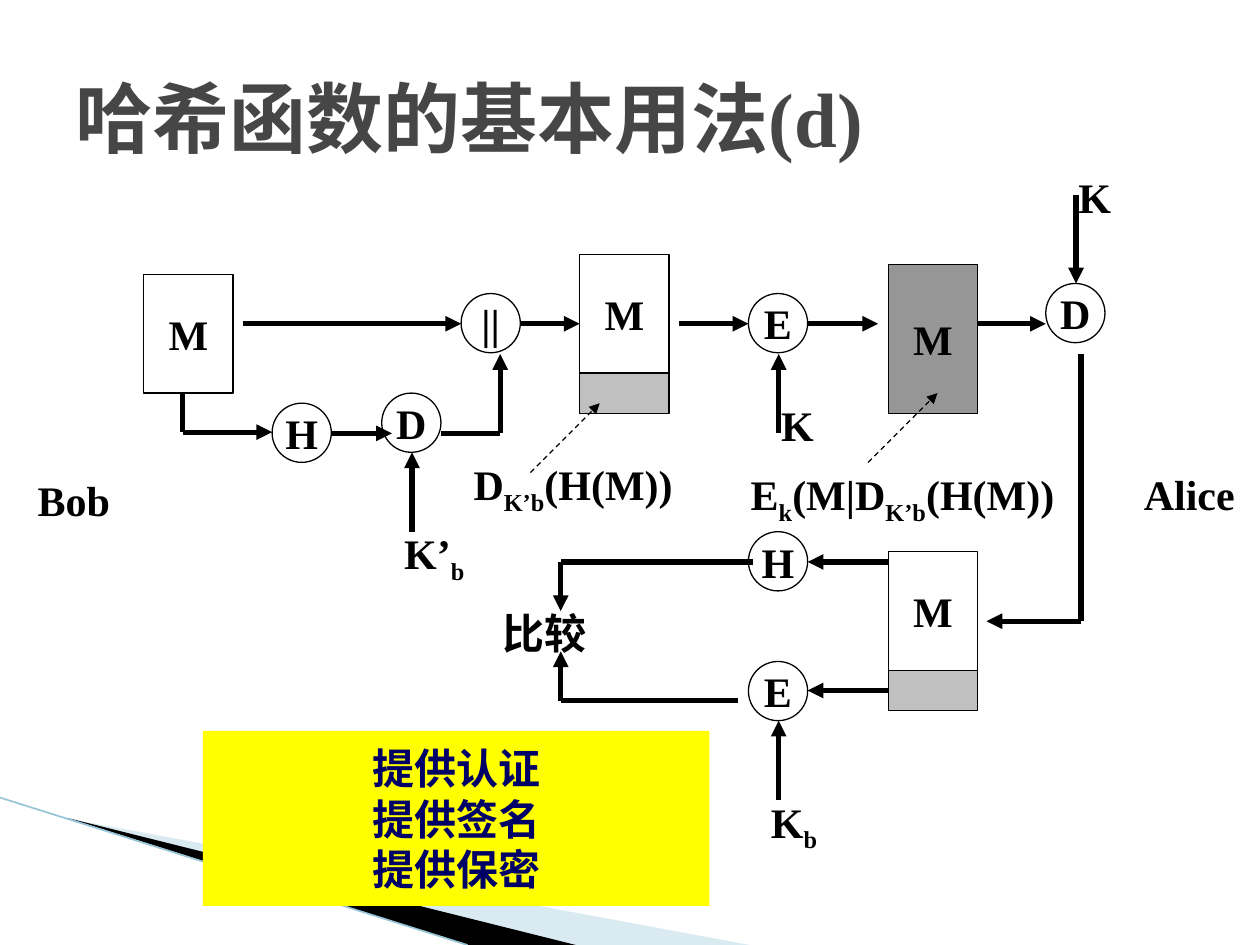
from itertools import pairwise

from pptx import Presentation
from pptx.dml.color import RGBColor
from pptx.enum.dml import MSO_LINE
from pptx.enum.shapes import MSO_CONNECTOR, MSO_SHAPE
from pptx.enum.text import MSO_ANCHOR, PP_ALIGN
from pptx.oxml.ns import qn
from pptx.util import Inches, Pt
from lxml.etree import SubElement

BLACK = RGBColor(0x00, 0x00, 0x00)
WHITE = RGBColor(0xFF, 0xFF, 0xFF)
SILVER = RGBColor(0xC0, 0xC0, 0xC0)
GRAY = RGBColor(0x96, 0x96, 0x96)
YELLOW = RGBColor(0xFF, 0xFF, 0x00)
NAVY = RGBColor(0x00, 0x00, 0x66)
TITLE_COLOR = RGBColor(0x46, 0x46, 0x46)
PALE_BLUE = RGBColor(0xA0, 0xCB, 0xDC)
EDGE_BLUE = RGBColor(0x97, 0xC5, 0xD8)
FONT = "Times New Roman"
BLOCK_WIDTH = 0.71
MESSAGE_HEIGHT = 0.94
TAG_HEIGHT = 0.32
NODE_SIZE = 0.47


def style_font(para, size=24, color=BLACK):
    font = para.font
    font.name, font.size, font.bold = FONT, Pt(size), True
    font.color.rgb = color


def add_wedge(slide, points, color, opacity=None):
    builder = slide.shapes.build_freeform(
        Inches(points[0][0]), Inches(points[0][1]), scale=1.0)
    builder.add_line_segments(
        [(Inches(x), Inches(y)) for x, y in points[1:]], close=True)
    wedge = builder.convert_to_shape()
    wedge.shadow.inherit = False
    wedge.fill.solid()
    wedge.fill.fore_color.rgb = color
    wedge.line.fill.background()
    if opacity:
        color_node = wedge.fill._xPr.find(qn("a:solidFill"))[0]
        SubElement(color_node, qn("a:alpha"), val=str(opacity * 1000))


def add_shape(slide, kind, left, top, width, height, fill, lines=(),
              outline=BLACK, color=BLACK):
    shape = slide.shapes.add_shape(
        kind, Inches(left), Inches(top), Inches(width), Inches(height))
    shape.shadow.inherit = False
    shape.fill.solid()
    shape.fill.fore_color.rgb = fill
    if outline is None:
        shape.line.fill.background()
    else:
        shape.line.color.rgb = outline
        shape.line.width = Pt(0.75)
    frame = shape.text_frame
    frame.word_wrap = False
    frame.vertical_anchor = MSO_ANCHOR.MIDDLE
    for index, text in enumerate(lines):
        para = frame.add_paragraph() if index else frame.paragraphs[0]
        para.text = text
        para.alignment = PP_ALIGN.CENTER
        style_font(para, color=color)
    return shape


def add_node(slide, left, top, text):
    add_shape(slide, MSO_SHAPE.OVAL, left, top, NODE_SIZE, NODE_SIZE, WHITE, [text])


def add_message(slide, left, top, height=MESSAGE_HEIGHT, fill=WHITE):
    add_shape(slide, MSO_SHAPE.RECTANGLE, left, top, BLOCK_WIDTH, height, fill, ["M"])


def add_tagged_message(slide, left, top):
    add_message(slide, left, top)
    return add_shape(slide, MSO_SHAPE.RECTANGLE, left, top + MESSAGE_HEIGHT,
                     BLOCK_WIDTH, TAG_HEIGHT, SILVER)


def add_label(slide, left, top, width, *parts, height=0.5, size=24, color=BLACK):
    box = slide.shapes.add_textbox(
        Inches(left), Inches(top), Inches(width), Inches(height))
    frame = box.text_frame
    frame.word_wrap = True
    frame.vertical_anchor = MSO_ANCHOR.MIDDLE if size > 24 else MSO_ANCHOR.TOP
    para = frame.paragraphs[0]
    style_font(para, size, color)
    for index, text in enumerate(parts):
        span = para.add_run()
        span.text = text
        if index % 2:
            span._r.get_or_add_rPr().set("baseline", "-25000")


def add_line(slide, start, end, width=3, color=BLACK, arrow=False, dashed=False):
    line = slide.shapes.add_connector(
        MSO_CONNECTOR.STRAIGHT, *(Inches(value) for value in (*start, *end)))
    line.line.color.rgb = color
    line.line.width = Pt(width)
    if dashed:
        line.line.dash_style = MSO_LINE.DASH
    if arrow:
        SubElement(line.line._get_or_add_ln(), qn("a:tailEnd"), type="triangle")
    SubElement(line._element.spPr, qn("a:effectLst"))
    return line


def add_route(slide, *points):
    segments = list(pairwise(points))
    for index, (start, end) in enumerate(segments, 1):
        add_line(slide, start, end, arrow=index == len(segments))


def add_decoration(slide):
    add_wedge(slide, [(0.55, 6.5), (5.95, 7.5), (4.56, 7.5)], PALE_BLUE, 40)
    add_wedge(slide, [(0.53, 6.49), (4.57, 7.5), (3.72, 7.5)], BLACK)
    add_line(slide, (0, 6.33), (3.71, 7.5), 0.95, EDGE_BLUE)


def add_diagram(slide):
    add_message(slide, 1.14, 2.18)
    add_message(slide, 7.05, 2.1, 1.18, GRAY)
    add_tagged_message(slide, 4.6, 2.02)
    received_tag = add_tagged_message(slide, 7.05, 4.38)

    nodes = [(3.66, 2.33, "||"), (5.94, 2.33, "E"), (8.3, 2.25, "D"),
             (2.16, 3.2, "H"), (3.03, 3.12, "D"),
             (5.94, 4.22, "H"), (5.94, 5.25, "E")]
    for node in nodes:
        add_node(slide, *node)

    for start, end in [(1.93, 3.66), (4.13, 4.6), (5.39, 5.94),
                       (6.41, 6.97), (7.75, 8.3)]:
        add_route(slide, (start, 2.57), (end, 2.57))
    for x, start, end in [(6.18, 3.44, 2.81), (8.54, 1.55, 2.25),
                          (3.27, 4.22, 3.59), (6.18, 6.35, 5.72)]:
        add_route(slide, (x, start), (x, end))
    add_route(slide, (1.45, 3.12), (1.45, 3.43), (2.16, 3.43))
    add_route(slide, (2.63, 3.44), (3.11, 3.44))
    add_route(slide, (3.5, 3.44), (3.97, 3.44), (3.97, 2.81))
    add_route(slide, (8.58, 2.81), (8.58, 4.93), (7.83, 4.93))
    add_route(slide, (7.05, 4.46), (6.41, 4.46))
    add_route(slide, (5.98, 4.46), (4.45, 4.46), (4.45, 4.85))
    add_route(slide, (5.86, 5.56), (4.45, 5.56), (4.45, 5.17))
    tag_line = add_line(slide, (7.05, 5.48), (6.41, 5.48), arrow=True)
    tag_line.begin_connect(received_tag, 1)
    for start, end in [((4.21, 3.75), (4.76, 3.2)), ((6.89, 3.67), (7.44, 3.12))]:
        add_line(slide, start, end, 0.75, arrow=True, dashed=True)


def add_labels(slide):
    add_label(slide, 0.5, 0.3, 9, "哈希函数的基本用法(d)",
              height=1.25, size=44, color=TITLE_COLOR)
    labels = [
        (0.2, 3.72, 1.42, "Bob"),
        (8.98, 3.67, 1.02, "Alice"),
        (8.46, 1.31, 0.71, "K"),
        (6.1, 3.12, 0.71, "K"),
        (3.11, 4.14, 0.71, "K’", "b"),
        (6.02, 6.27, 0.71, "K", "b"),
        (3.66, 3.59, 2.12, "D", "K’b", "(H(M))"),
        (5.86, 3.67, 2.76, "E", "k", "(M|D", "K’b", "(H(M))"),
        (3.89, 4.77, 0.94, "比较"),
    ]
    for label in labels:
        add_label(slide, *label)


def main():
    deck = Presentation()
    deck.slide_width, deck.slide_height = Inches(10), Inches(7.5)
    page = deck.slides.add_slide(deck.slide_layouts[6])
    add_decoration(page)
    add_diagram(page)
    add_labels(page)
    add_shape(page, MSO_SHAPE.RECTANGLE, 1.61, 5.8, 4.02, 1.39, YELLOW,
              ["提供认证", "提供签名", "提供保密"], outline=None, color=NAVY)
    deck.save("out.pptx")


if __name__ == "__main__":
    main()
